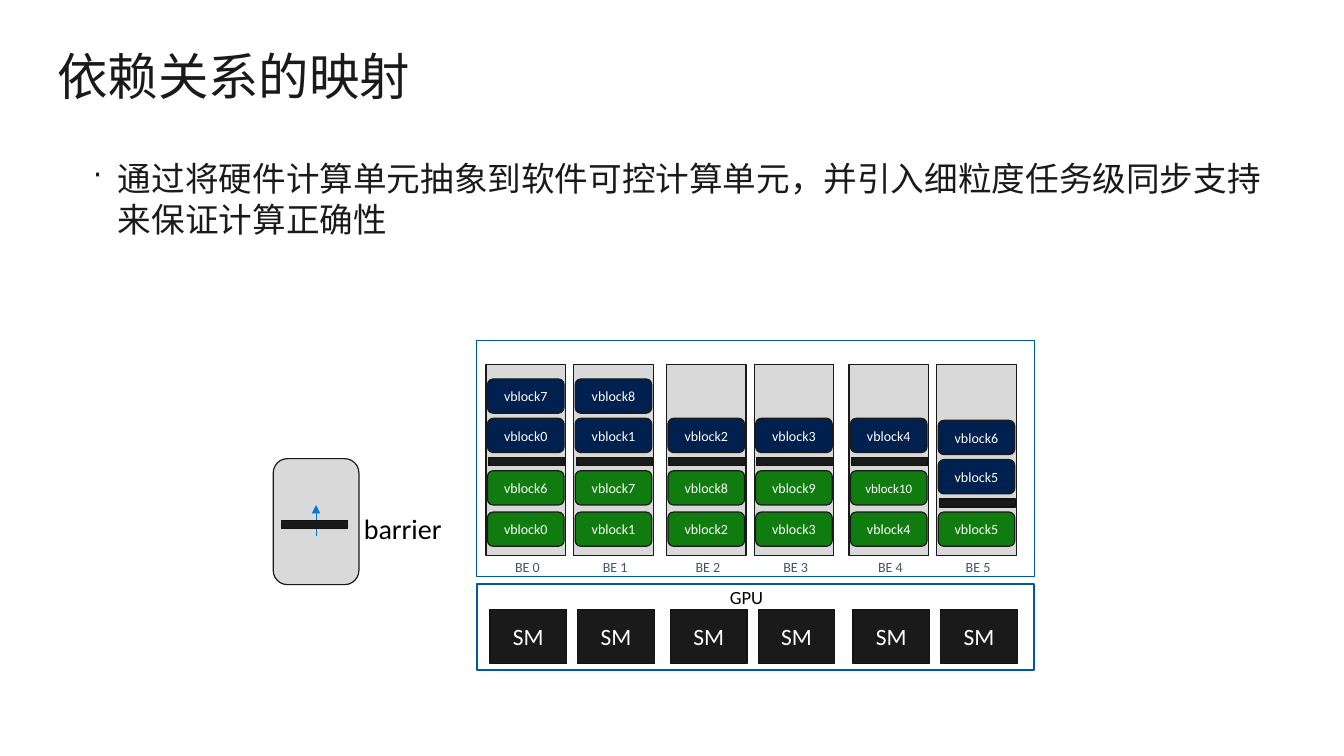
from lxml.etree import SubElement
from pptx import Presentation
from pptx.dml.color import RGBColor
from pptx.enum.shapes import MSO_CONNECTOR, MSO_SHAPE
from pptx.enum.text import MSO_ANCHOR, PP_ALIGN
from pptx.oxml.ns import qn
from pptx.util import Inches, Pt

COLORS = {
    "ink": "1A1A1A", "edge": "131313", "black": "000000", "white": "FFFFFF",
    "grey": "D9D9D9", "frame": "00599D", "arrow": "0078D4", "label": "44546A",
    "green": "107C10", "navy": "002050",
}
COLUMN_LEFTS = [0.09, 0.96, 1.88, 2.75, 3.69, 4.56]
COLUMN_WIDTH = 0.79
BLOCK_WIDTH, BLOCK_HEIGHT = 0.76, 0.34
GREEN_PITCH, NAVY_PITCH = 0.41, 0.39
BARRIER_HEIGHT = 0.08
EXECUTORS = [
    (["vblock0", "vblock6"], ["vblock0", "vblock7"]),
    (["vblock1", "vblock7"], ["vblock1", "vblock8"]),
    (["vblock2", "vblock8"], ["vblock2"]),
    (["vblock3", "vblock9"], ["vblock3"]),
    (["vblock4", "vblock10"], ["vblock4"]),
    (["vblock5"], ["vblock5", "vblock6"]),
]


def color(name):
    """Return the named colour."""
    return RGBColor.from_string(COLORS[name])


def write(shape, text, size, ink, font="Calibri", align=PP_ALIGN.LEFT, spacing=None):
    """Write one formatted paragraph into a shape and return it."""
    para = shape.text_frame.paragraphs[0]
    para.alignment = align
    para.line_spacing = spacing
    span = para.add_run()
    span.text = text
    span.font.size = Pt(size)
    span.font.name = font
    span.font.color.rgb = color(ink)
    return para


def add_box(page, left, top, width, height, fill=None, line="ink", weight=0.85,
            kind=MSO_SHAPE.RECTANGLE, text=None, size=10):
    """Add a preset shape with an outline and optional fill and centred text."""
    box = page.shapes.add_shape(kind, Inches(left), Inches(top), Inches(width), Inches(height))
    box.shadow.inherit = False
    if fill:
        box.fill.solid()
        box.fill.fore_color.rgb = color(fill)
    else:
        box.fill.background()
    box.line.color.rgb = color(line)
    box.line.width = Pt(weight)
    if text:
        box.text_frame.vertical_anchor = MSO_ANCHOR.MIDDLE
        write(box, text, size, "white", align=PP_ALIGN.CENTER)
    return box


def add_text(page, left, top, width, height, wrap=False):
    """Add an empty text box."""
    box = page.shapes.add_textbox(Inches(left), Inches(top), Inches(width), Inches(height))
    box.text_frame.word_wrap = wrap
    return box


def add_barrier(page, left, top, width):
    """Add a barrier bar."""
    add_box(page, left, top, width, BARRIER_HEIGHT, fill="ink", line="edge")


def add_title(page, left, top, width, height):
    """Place the slide title."""
    box = add_text(page, left, top, width, height, wrap=True)
    box.text_frame.vertical_anchor = MSO_ANCHOR.MIDDLE
    write(box, "依赖关系的映射", 36, "ink", font="Cabin", spacing=0.9)


def add_body(page, left, top, width, height):
    """Place the bulleted statement."""
    box = add_text(page, left, top, width, height, wrap=True)
    frame = box.text_frame
    frame.margin_left = frame.margin_right = frame.margin_top = frame.margin_bottom = 0
    para = write(box, "通过将硬件计算单元抽象到软件可控计算单元，并引入细粒度任务级同步支持来保证计算正确性",
                 24, "ink", font="Cabin")
    props = para._p.get_or_add_pPr()
    props.set("marL", str(Inches(0.25)))
    props.set("indent", str(-Inches(0.25)))
    SubElement(props, qn("a:buSzPct")).set("val", "90000")
    SubElement(props, qn("a:buChar")).set("char", "·")


def add_legend(page, left, top, width, height):
    """Place the barrier legend with its upward arrow."""
    add_box(page, left, top, width, height, fill="grey", kind=MSO_SHAPE.ROUNDED_RECTANGLE)
    middle = Inches(left + width / 2)
    arrow = page.shapes.add_connector(MSO_CONNECTOR.STRAIGHT, middle, Inches(top + 0.77),
                                      middle, Inches(top + 0.46))
    arrow.line.color.rgb = color("arrow")
    arrow.line.width = Pt(0.75)
    SubElement(arrow.line._get_or_add_ln(), qn("a:tailEnd")).set("type", "triangle")
    SubElement(arrow._element.spPr, qn("a:effectLst"))
    add_barrier(page, left + 0.08, top + 0.61, 0.66)
    write(add_text(page, left + 0.8, top + 0.48, 0.98, 0.44), "barrier", 20, "black")


def add_executor(page, left, top, height, name, greens, navies):
    """Place one executor column with its blocks stacked around a barrier."""
    add_box(page, left, top, COLUMN_WIDTH, height, fill="grey")
    write(add_text(page, left + 0.19, top + height - 0.02, 0.52, 0.27), name, 10, "label")
    inner = left + (COLUMN_WIDTH - BLOCK_WIDTH) / 2
    base = top + height - 0.43
    barrier_top = base - GREEN_PITCH * (len(greens) - 1) - 0.13
    stacks = [("green", greens, base, GREEN_PITCH),
              ("navy", navies, barrier_top - NAVY_PITCH, NAVY_PITCH)]
    for fill, blocks, lowest, pitch in stacks:
        for level, block in enumerate(blocks):
            add_box(page, inner, lowest - level * pitch, BLOCK_WIDTH, BLOCK_HEIGHT, fill=fill,
                    kind=MSO_SHAPE.ROUNDED_RECTANGLE, text=block,
                    size=9.2 if len(block) > 7 else 10)
    add_barrier(page, inner + 0.01, barrier_top, BLOCK_WIDTH)


def add_executors(page, left, top, width, height):
    """Place the frame of executor columns."""
    add_box(page, left, top, width, height, line="frame")
    for index, (offset, (greens, navies)) in enumerate(zip(COLUMN_LEFTS, EXECUTORS)):
        add_executor(page, left + offset, top + 0.24, height - 0.45, f"BE {index}", greens, navies)


def add_gpu(page, left, top, width, height):
    """Place the GPU frame with one SM under each executor."""
    for offset in COLUMN_LEFTS:
        add_box(page, left + offset + 0.04, top + 0.26, BLOCK_WIDTH, 0.53, fill="ink",
                line="edge", text="SM", size=16.7)
    add_box(page, left, top, width, height, line="frame", weight=1.5)
    write(add_text(page, left + 2.41, top - 0.03, 0.62, 0.33), "GPU", 13.3, "black")


def main():
    """Build the slide and save it."""
    deck = Presentation()
    deck.slide_width, deck.slide_height = Inches(13.33), Inches(7.5)
    page = deck.slides.add_slide(deck.slide_layouts[6])
    add_title(page, 0.47, 0.06, 11.5, 1.45)
    add_body(page, 0.92, 1.57, 11.79, 0.81)
    add_legend(page, 2.71, 4.55, 0.85, 1.25)
    add_executors(page, 4.73, 3.38, 5.53, 2.34)
    add_gpu(page, 4.73, 5.79, 5.53, 0.86)
    deck.save("out.pptx")


if __name__ == "__main__":
    main()
